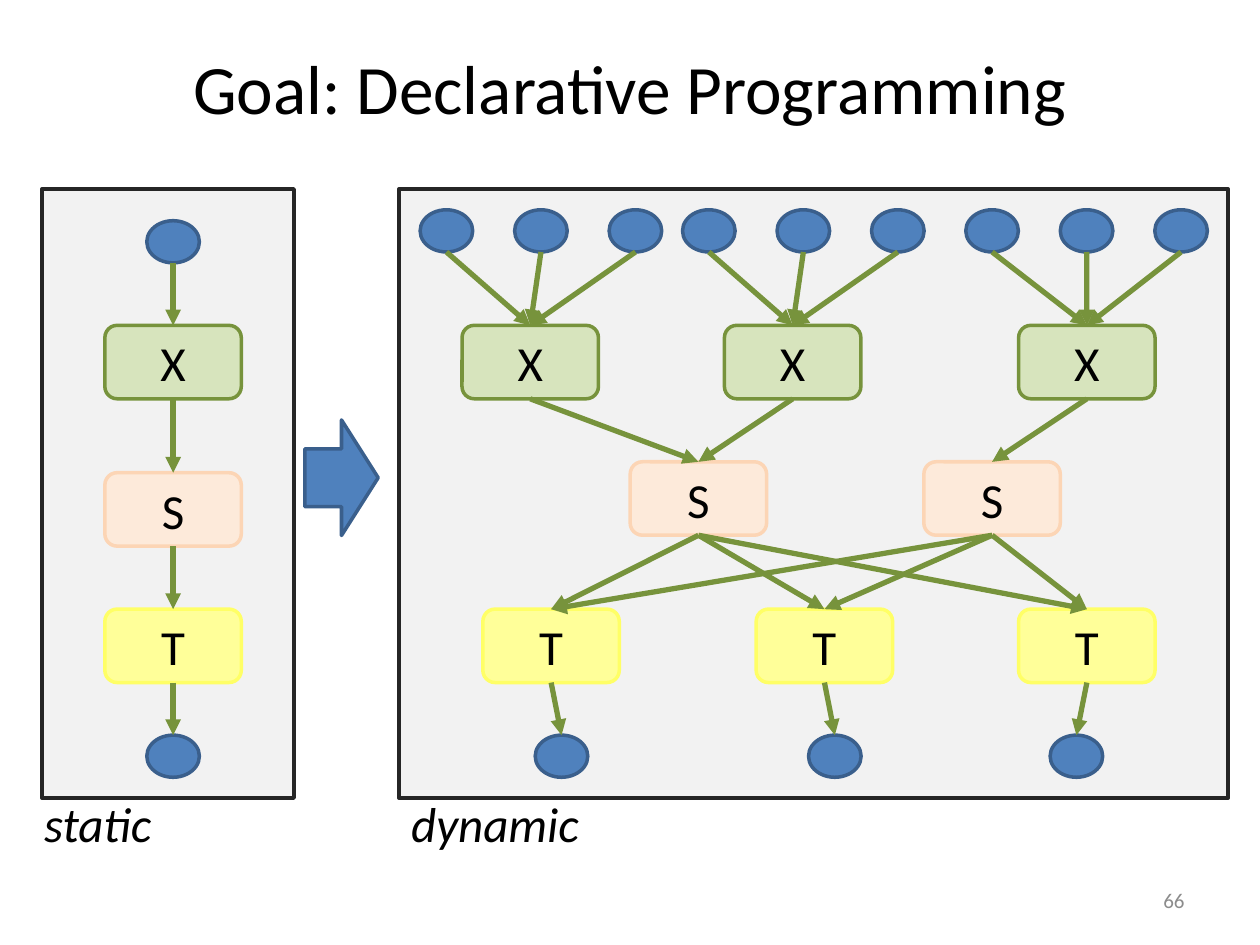
from lxml import etree
from pptx import Presentation
from pptx.dml.color import RGBColor
from pptx.enum.shapes import MSO_CONNECTOR as CONN, MSO_SHAPE as SHAPE
from pptx.enum.text import MSO_ANCHOR as ANCHOR, PP_ALIGN as ALIGN
from pptx.oxml.ns import qn
from pptx.util import Cm, Pt

GREEN = "77933C"
BLUE = ("4F81BD", "3A5F8C")
STAGES = {  # kind: fill, line
    "X": ("D7E4BD", GREEN),
    "S": ("FDEADA", "FCD5B5"),
    "T": ("FFFF99", "FFFF66"),
}
NODE_W, NODE_H = 2.75, 1.48
DOT_W, DOT_H = 1.06, 0.85
X_TOP, T_TOP, OUT_TOP = 6.56, 12.28, 14.82

STATIC_X = 3.49
DOT_STEP = 1.905
INPUT_STARTS = [9, 14.29, 20]
X_CENTRES = [10.69, 15.98, 21.91]
S_CENTRES = [14.08, 20]
T_CENTRES = [11.11, 16.62, 21.91]
OUT_CENTRES = [11.32, 16.83, 21.7]
X_TO_S = [0, 0, 1]


def rgb(color):
    return RGBColor.from_string(color)


def add_box(s, kind, x, y, w, h, colors):
    sp = s.shapes.add_shape(kind, Cm(x), Cm(y), Cm(w), Cm(h))
    fill, line = colors
    sp.shadow.inherit = False
    sp.fill.solid()
    sp.fill.fore_color.rgb = rgb(fill)
    sp.line.color.rgb = rgb(line)
    sp.line.width = Pt(2)
    return sp


def write(tf, text, size, align=ALIGN.LEFT, color="000000", italic=False):
    p = tf.paragraphs[0]
    p.alignment = align
    r = p.add_run()
    r.text = text
    for name, value in {"name": "Calibri", "size": Pt(size), "italic": italic}.items():
        setattr(r.font, name, value)
    r.font.color.rgb = rgb(color)


def add_text(s, x, y, w, h, text, size, anchor=ANCHOR.MIDDLE, wrap=True, **style):
    tf = s.shapes.add_textbox(Cm(x), Cm(y), Cm(w), Cm(h)).text_frame
    tf.word_wrap = wrap
    tf.vertical_anchor = anchor
    write(tf, text, size, **style)


def add_dot(s, centre, top):
    return add_box(s, SHAPE.OVAL, centre - DOT_W / 2, top, DOT_W, DOT_H, BLUE)


def add_node(s, kind, centre, top):
    sp = add_box(s, SHAPE.ROUNDED_RECTANGLE, centre - NODE_W / 2, top,
                 NODE_W, NODE_H, STAGES[kind])
    sp.text_frame.vertical_anchor = ANCHOR.MIDDLE
    write(sp.text_frame, kind, 28, ALIGN.CENTER)
    return sp


def add_edge(s, source, target):
    """Arrow from the bottom middle of source to the top middle of target."""
    line = s.shapes.add_connector(
        CONN.STRAIGHT,
        source.left + source.width // 2, source.top + source.height,
        target.left + target.width // 2, target.top)
    line.line.color.rgb = rgb(GREEN)
    line.line.width = Pt(3)
    etree.SubElement(line.line._get_or_add_ln(), qn("a:tailEnd"), type="triangle")
    etree.SubElement(line._element.spPr, qn("a:effectLst"))


def add_static_graph(s):
    chain = [add_dot(s, STATIC_X, 4.45)]
    for kind, top in (("X", X_TOP), ("S", 9.53), ("T", T_TOP)):
        chain.append(add_node(s, kind, STATIC_X, top))
    chain.append(add_dot(s, STATIC_X, OUT_TOP))
    for source, target in zip(chain, chain[1:]):
        add_edge(s, source, target)


def add_dynamic_graph(s):
    inputs = [[add_dot(s, start + i * DOT_STEP, 4.23) for i in range(3)]
              for start in INPUT_STARTS]
    xs = [add_node(s, "X", c, X_TOP) for c in X_CENTRES]
    ss = [add_node(s, "S", c, 9.31) for c in S_CENTRES]
    ts = [add_node(s, "T", c, T_TOP) for c in T_CENTRES]
    outputs = [add_dot(s, c, OUT_TOP) for c in OUT_CENTRES]

    edges = [(dot, x) for dots, x in zip(inputs, xs) for dot in dots]
    edges += [(x, ss[i]) for x, i in zip(xs, X_TO_S)]
    edges += [(source, t) for source in ss for t in ts]
    edges += zip(ts, outputs)
    for source, target in edges:
        add_edge(s, source, target)


def main():
    prs = Presentation()
    prs.slide_width, prs.slide_height = Cm(25.4), Cm(19.05)
    s = prs.slides.add_slide(prs.slide_layouts[6])

    for x, w in ((8.04, 16.72), (0.85, 5.08)):
        add_box(s, SHAPE.RECTANGLE, x, 3.81, w, 12.28, ("F2F2F2", "262626"))
    add_text(s, 1.27, 0.76, 22.86, 1.98, "Goal: Declarative Programming", 39.6,
             align=ALIGN.CENTER)
    add_static_graph(s)
    arrow = add_box(s, SHAPE.DOWN_ARROW, 5.72, 8.89, 2.33, 1.48, BLUE)
    arrow.rotation = 270
    add_dynamic_graph(s)

    for text, x, w in (("static", 0.64, 2.69), ("dynamic", 8.04, 3.91)):
        add_text(s, x, 15.88, w, 1.45, text, 28, anchor=ANCHOR.TOP, wrap=False,
                 italic=True)
    add_text(s, 18.2, 17.65, 5.93, 1.01, "66", 12, align=ALIGN.RIGHT, color="8C8C8C")
    prs.save("out.pptx")


if __name__ == "__main__":
    main()
